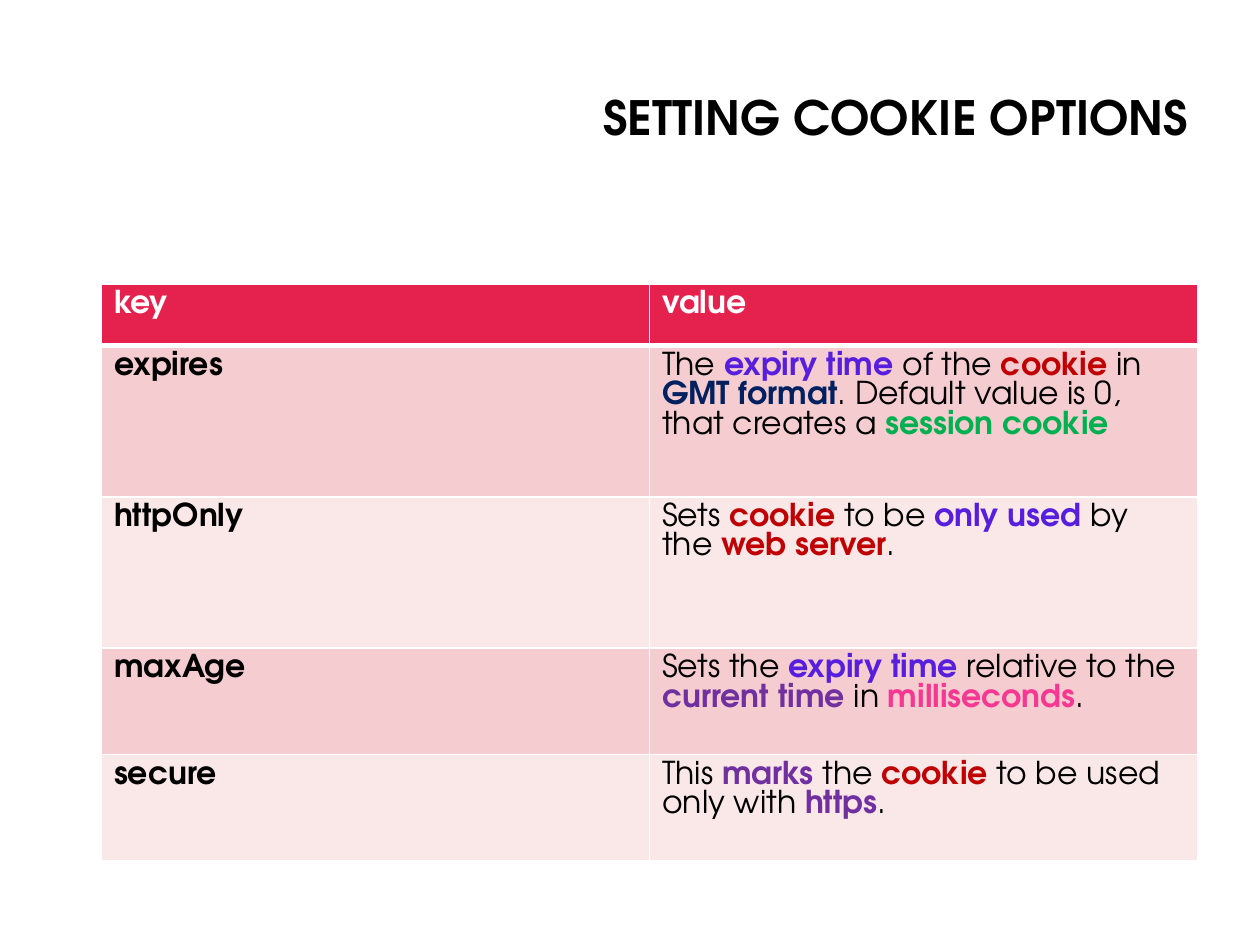
from pptx import Presentation
from pptx.util import Pt
from pptx.dml.color import RGBColor as RGB
from pptx.enum.text import PP_ALIGN as Align, MSO_ANCHOR as Anchor
from pptx.oxml import parse_xml
from pptx.oxml.ns import nsdecls

FONT = "TeX Gyre Adventor"
BLACK = RGB(0x00, 0x00, 0x00)
WHITE = RGB(0xFF, 0xFF, 0xFF)
CRIMSON = RGB(0xE5, 0x22, 0x4E)
ROSE = RGB(0xF5, 0xCD, 0xD0)
BLUSH = RGB(0xFA, 0xE8, 0xE9)
INDIGO = RGB(0x58, 0x1E, 0xDD)
RED = RGB(0xC0, 0x00, 0x00)
NAVY = RGB(0x00, 0x20, 0x60)
GREEN = RGB(0x00, 0xB0, 0x50)
PURPLE = RGB(0x70, 0x30, 0xA0)
PINK = RGB(0xF6, 0x38, 0x92)

ROWS = [
    ("key", [("value", WHITE)], 35.2),
    ("expires", [("The ", None), ("expiry time ", INDIGO), ("of the ", None),
                 ("cookie", RED), (" in ", None), ("GMT format", NAVY),
                 (". Default value is 0, that creates a ", None),
                 ("session cookie", GREEN)], 86.4),
    ("httpOnly", [("Sets ", None), ("cookie", RED), (" to be ", None),
                  ("only used ", INDIGO), ("by the ", None),
                  ("web server", RED), (".", None)], 86.4),
    ("maxAge", [("Sets the ", None), ("expiry time ", INDIGO),
                ("relative to the ", None), ("current time ", PURPLE),
                ("in ", None), ("milliseconds", PINK), (".", None)], 60.8),
    ("secure", [("This ", None), ("marks", PURPLE), (" the ", None),
                ("cookie", RED), (" to be used only with ", None),
                ("https", PURPLE), (".", None)], 60.8),
]


def write(para, parts, size):
    for text, color in parts:
        run = para.add_run()
        run.text = text
        run.font.name = FONT
        run.font.size = Pt(size)
        run.font.bold = color is not None
        run.font.color.rgb = color or BLACK


def edge(cell, side, width):
    cell._tc.get_or_add_tcPr().append(parse_xml(
        f'<a:ln{side} {nsdecls("a")} w="{Pt(width)}"><a:solidFill>'
        f'<a:srgbClr val="{WHITE}"/></a:solidFill></a:ln{side}>'))


deck = Presentation()
deck.slide_width, deck.slide_height = Pt(720), Pt(540)
slide = deck.slides.add_slide(deck.slide_layouts[6])

title = slide.shapes.add_textbox(Pt(184.3), Pt(18), Pt(501.8), Pt(101.5))
frame = title.text_frame
frame.word_wrap = True
frame.vertical_anchor = Anchor.MIDDLE
head = frame.paragraphs[0]
head.alignment = Align.RIGHT
head.line_spacing = 0.9
write(head, [("SETTING COOKIE OPTIONS", BLACK)], 27)

high = sum(row[2] for row in ROWS)
table = slide.shapes.add_table(
    len(ROWS), 2, Pt(58), Pt(162.4), Pt(626.4), Pt(high)).table

for i, (key, parts, tall) in enumerate(ROWS):
    table.rows[i].height = Pt(tall)
    fill = CRIMSON if i == 0 else ROSE if i % 2 else BLUSH
    name = [(key, BLACK if i else WHITE)]
    for cell, text in zip(table.rows[i].cells, (name, parts)):
        edge(cell, "L", 1)
        edge(cell, "R", 1)
        edge(cell, "T", 3 if i == 1 else 1)
        edge(cell, "B", 3 if i == 0 else 1)
        cell.fill.solid()
        cell.fill.fore_color.rgb = fill
        write(cell.text_frame.paragraphs[0], text, 18)

deck.save("out.pptx")
